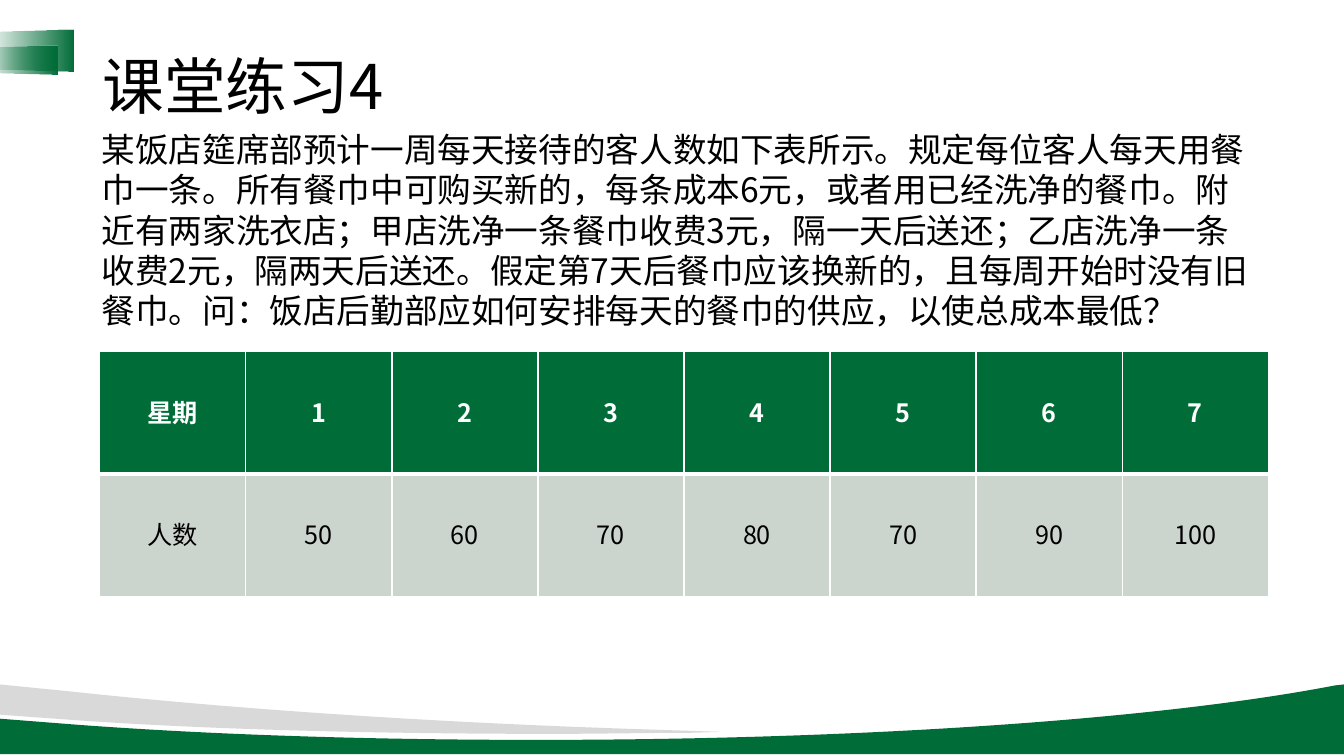
import pptx
import pptx.util
import pptx.dml.color
import pptx.enum.shapes
import pptx.enum.text
import pptx.oxml
import pptx.oxml.ns

Inches = pptx.util.Inches
Pt = pptx.util.Pt
MIDDLE = pptx.enum.text.MSO_ANCHOR.MIDDLE

FONT = "Noto Sans CJK SC"
GREEN, GREY, PALE, WHITE, BLACK = "006D39", "D9D9D9", "CCD4CE", "FFFFFF", "000000"
NS = pptx.oxml.ns.nsdecls("a")
qn = pptx.oxml.ns.qn

TITLE = "课堂练习4"
PROBLEM = (
    "某饭店筵席部预计一周每天接待的客人数如下表所示。规定每位客人每天用餐巾一条。"
    "所有餐巾中可购买新的，每条成本6元，或者用已经洗净的餐巾。附近有两家洗衣店；"
    "甲店洗净一条餐巾收费3元，隔一天后送还；乙店洗净一条收费2元，隔两天后送还。"
    "假定第7天后餐巾应该换新的，且每周开始时没有旧餐巾。"
    "问：饭店后勤部应如何安排每天的餐巾的供应，以使总成本最低？"
)
GUESTS = [
    ["星期", "1", "2", "3", "4", "5", "6", "7"],
    ["人数", "50", "60", "70", "80", "70", "90", "100"],
]

# Each wave is a list of segments: one point is a line, three are a Bezier curve.
GREEN_WAVE = [
    [(13.33, 0)], [(13.33, 0.69)], [(0, 0.69)], [(0, 0.34)], [(0.77, 0.4)],
    [(2.12, 0.5), (3.67, 0.55), (5.32, 0.55)],
    [(8.62, 0.55), (11.53, 0.34), (13.24, 0.01)],
]
GREY_WAVE = [
    [(0, 0)], [(0.7, 0.07)],
    [(2.29, 0.24), (4.17, 0.37), (6.22, 0.44)],
    [(7.15, 0.47)], [(6.84, 0.48)],
    [(6.4, 0.48), (5.94, 0.49), (5.48, 0.49)],
    [(3.61, 0.49), (1.92, 0.44), (0.69, 0.35)],
    [(0, 0.3)],
]


def color(hex_string):
    return pptx.dml.color.RGBColor.from_string(hex_string)


def bend_segments(sp, segments):
    """Merge the three lines of each Bezier segment into one curve."""
    lines = iter(list(sp._element.iter(qn("a:lnTo"))))
    for segment in segments:
        parts = [next(lines) for _ in segment]
        if len(parts) == 3:
            curve = pptx.oxml.parse_xml(f"<a:cubicBezTo {NS}/>")
            parts[0].addprevious(curve)
            for part in parts:
                curve.append(part[0])
                part.getparent().remove(part)


def add_wave(s, left, top, segments, fill):
    points = [(Inches(left + x), Inches(top + y)) for part in segments for x, y in part]
    builder = s.shapes.build_freeform(*points[0], scale=1.0)
    builder.add_line_segments(points[1:], close=True)
    sp = builder.convert_to_shape()
    bend_segments(sp, segments[1:])
    sp.shadow.inherit = False
    sp.fill.solid()
    sp.fill.fore_color.rgb = color(fill)
    sp.line.fill.background()


def add_ribbon(s, left, top, width, height):
    """Add a trapezoid turned on its side that fades out to the left."""
    sp = s.shapes.add_shape(
        pptx.enum.shapes.MSO_SHAPE.TRAPEZOID,
        Inches(left), Inches(top), Inches(width), Inches(height),
    )
    sp.rotation = 270
    sp.adjustments[0] = 0.07
    sp.shadow.inherit = False
    sp.line.fill.background()
    sp.fill.gradient()
    sp.fill.gradient_angle = 270
    for stop, position in zip(sp.fill.gradient_stops, (0, 1)):
        stop.position = position
        stop.color.rgb = color(GREEN)
    clear = next(sp._element.spPr.iter(qn("a:srgbClr")))
    clear.append(pptx.oxml.parse_xml(f'<a:alpha {NS} val="0"/>'))


def add_run(p, text, size, fill=BLACK, bold=False):
    r = p.add_run()
    r.text = text
    r.font.size = Pt(size)
    r.font.name = FONT
    r.font.bold = bold
    r.font.color.rgb = color(fill)
    latin = r.font._element.find(qn("a:latin"))
    latin.addnext(pptx.oxml.parse_xml(f'<a:ea {NS} typeface="{FONT}"/>'))


def add_text(s, left, top, width, height, text, size, spacing=None, anchor=None):
    sp = s.shapes.add_textbox(Inches(left), Inches(top), Inches(width), Inches(height))
    tf = sp.text_frame
    tf.word_wrap = True
    tf.vertical_anchor = anchor
    p = tf.paragraphs[0]
    p.line_spacing = spacing
    add_run(p, text, size)


def set_borders(cell, **widths):
    tc_pr = cell._tc.get_or_add_tcPr()
    for i, side in enumerate("LRTB"):
        tc_pr.insert(i, pptx.oxml.parse_xml(
            f'<a:ln{side} {NS} w="{Pt(widths.get(side, 1))}"><a:solidFill>'
            f'<a:srgbClr val="{WHITE}"/></a:solidFill></a:ln{side}>'
        ))


def add_guest_table(s, left, top, width, height):
    table = s.shapes.add_table(
        len(GUESTS), len(GUESTS[0]),
        Inches(left), Inches(top), Inches(width), Inches(height),
    ).table
    for i, values in enumerate(GUESTS):
        header = i == 0
        for j, value in enumerate(values):
            cell = table.cell(i, j)
            cell.fill.solid()
            cell.fill.fore_color.rgb = color(GREEN if header else PALE)
            cell.vertical_anchor = MIDDLE
            cell.margin_bottom = Inches(0.09)
            set_borders(cell, **({"B": 3} if header else {"T": 3}))
            p = cell.text_frame.paragraphs[0]
            p.alignment = pptx.enum.text.PP_ALIGN.CENTER
            add_run(p, value, 18, WHITE if header else BLACK, header)


def add_decoration(s):
    add_wave(s, 0, 6.79, GREEN_WAVE, GREEN)
    add_wave(s, 0, 6.79, GREY_WAVE, GREY)
    add_ribbon(s, 0.08, 0.06, 0.41, 0.88)
    add_ribbon(s, 0.06, 0.23, 0.29, 0.73)


def main():
    prs = pptx.Presentation()
    prs.slide_width, prs.slide_height = Inches(13.33), Inches(7.5)
    s = prs.slides.add_slide(prs.slide_layouts[6])
    add_decoration(s)
    add_text(s, 0.92, 0.4, 11.5, 0.98, TITLE, 44, 0.9, MIDDLE)
    add_text(s, 0.91, 1.23, 11.68, 2.52, PROBLEM, 24)
    add_guest_table(s, 0.99, 3.49, 11.59, 2.43)
    prs.save("out.pptx")


if __name__ == "__main__":
    main()
